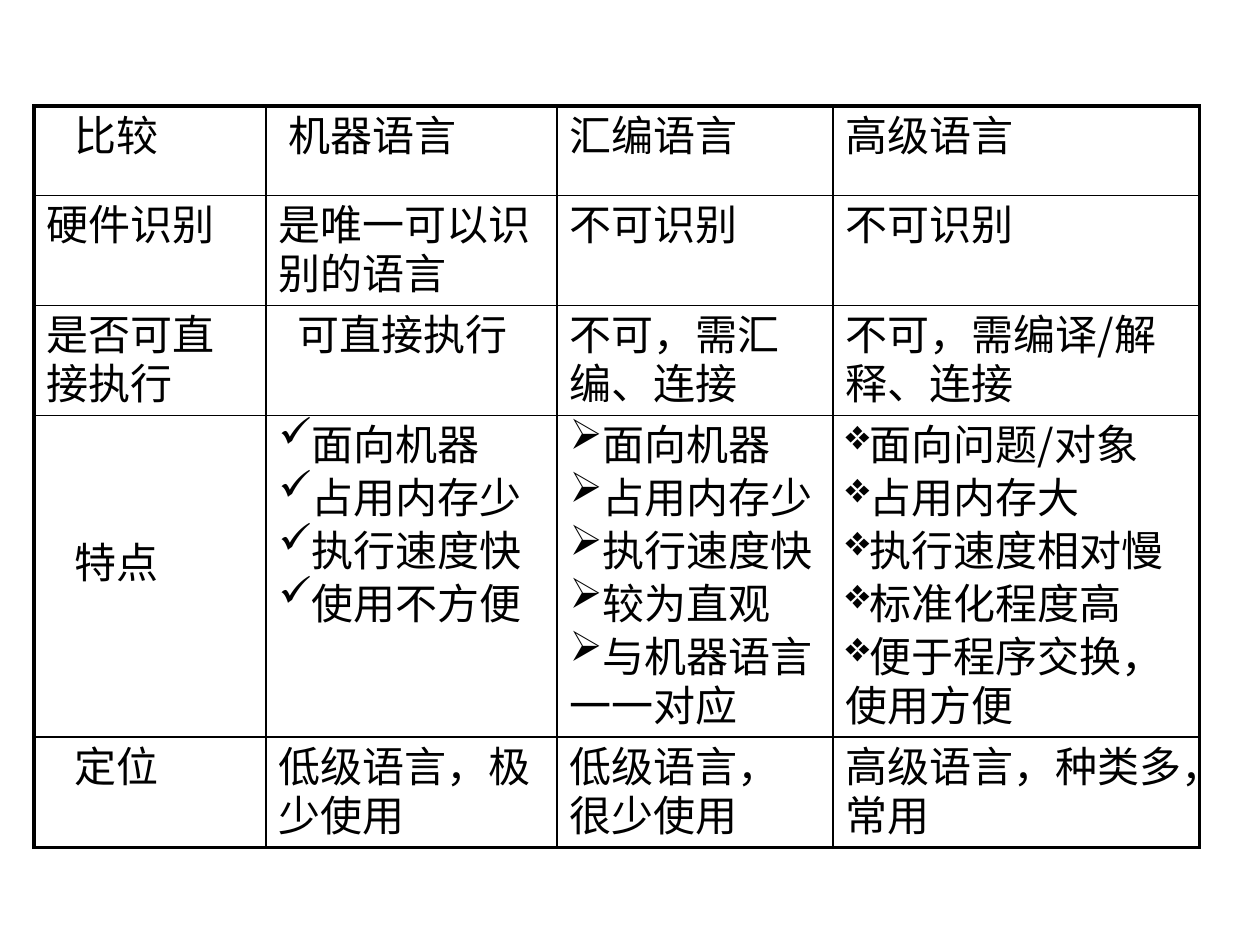
from dataclasses import dataclass

from lxml.etree import SubElement
from pptx import Presentation
from pptx.dml.color import RGBColor
from pptx.oxml.ns import qn
from pptx.util import Pt

BLACK = RGBColor(0x00, 0x00, 0x00)
WHITE = RGBColor(0xFF, 0xFF, 0xFF)
FONT = "Noto Sans CJK SC"
TEXT_FORMAT = {"size": Pt(24), "name": FONT, "bold": False}
PARAGRAPH_FORMAT = {"line_spacing": 0.8}
TABLE_FORMAT = {"first_row": False, "horz_banding": False}
OUTER, INNER = Pt(2.25), Pt(1)

COL_WIDTHS = (132.5, 166.3, 157.7, 209.5)
ROW_HEIGHTS = (51.1, 58.3, 58.3, 172.1, 58.3)


@dataclass(frozen=True)
class Entry:
    lines: tuple[str, ...]
    indent: float = 0
    bullet: str = ""
    top: float = 3.6


def text(line: str, indent: float = 0, top: float = 3.6) -> Entry:
    return Entry((line,), indent, top=top)


def bullets(mark: str, *lines: str) -> Entry:
    return Entry(lines, bullet=mark)


ROWS = (
    (text("比较", 16), text("机器语言", 5.4), text("汇编语言"), text("高级语言")),
    (text("硬件识别"), text("是唯一可以识别的语言"),
     text("不可识别"), text("不可识别")),
    (text("是否可直接执行"), text("可直接执行", 10.8),
     text("不可，需汇编、连接"), text("不可，需编译/解释、连接")),
    (text("特点", 16, top=71),
     bullets("✓", "面向机器", "占用内存少", "执行速度快", "使用不方便"),
     bullets("➢", "面向机器", "占用内存少", "执行速度快", "较为直观",
             "与机器语言一一对应"),
     bullets("❖", "面向问题/对象", "占用内存大", "执行速度相对慢",
             "标准化程度高", "便于程序交换，使用方便")),
    (text("定位", 16), text("低级语言，极少使用"),
     text("低级语言，很少使用"), text("高级语言，种类多，常用")),
)


def set_format(target, values: dict) -> None:
    for name, value in values.items():
        setattr(target, name, value)


def add_border(cell, side: str, width: int, index: int) -> None:
    ln = cell._tc.get_or_add_tcPr().makeelement(qn(f"a:ln{side}"), {"w": str(width)})
    fill = SubElement(ln, qn("a:solidFill"))
    SubElement(fill, qn("a:srgbClr"), val=str(BLACK))
    cell._tc.get_or_add_tcPr().insert(index, ln)


def add_borders(cell, row: int, col: int) -> None:
    """Draw a heavy line on the table's outside edges and a thin one elsewhere."""
    on_edge = {"L": col == 0, "R": col == len(COL_WIDTHS) - 1,
               "T": row == 0, "B": row == len(ROW_HEIGHTS) - 1}
    for i, (side, outside) in enumerate(on_edge.items()):
        add_border(cell, side, OUTER if outside else INNER, i)


def write_entry(cell, entry: Entry) -> None:
    tf = cell.text_frame
    cell.margin_top = Pt(entry.top)
    for i, line in enumerate(entry.lines):
        p = tf.add_paragraph() if i else tf.paragraphs[0]
        set_format(p, PARAGRAPH_FORMAT)
        p.space_before = Pt(2.4 if i else 0)
        pPr = p._p.get_or_add_pPr()
        pPr.set("marL", str(Pt(entry.indent)))
        pPr.set("indent", "0")
        if entry.bullet:
            SubElement(pPr, qn("a:buChar"), char=entry.bullet)
        r = p.add_run()
        r.text = line
        set_format(r.font, TEXT_FORMAT)
        r.font.color.rgb = BLACK
        SubElement(r._r.get_or_add_rPr(), qn("a:ea"), typeface=FONT)


def add_comparison_table(slide) -> None:
    table = slide.shapes.add_table(
        len(ROW_HEIGHTS), len(COL_WIDTHS), Pt(19.5), Pt(60.5),
        Pt(sum(COL_WIDTHS)), Pt(sum(ROW_HEIGHTS))).table
    set_format(table, TABLE_FORMAT)
    for column, width in zip(table.columns, COL_WIDTHS):
        column.width = Pt(width)
    for row, height in zip(table.rows, ROW_HEIGHTS):
        row.height = Pt(height)
    for i, entries in enumerate(ROWS):
        for j, entry in enumerate(entries):
            cell = table.cell(i, j)
            cell.fill.solid()
            cell.fill.fore_color.rgb = WHITE
            add_borders(cell, i, j)
            write_entry(cell, entry)


def main() -> None:
    prs = Presentation()
    prs.slide_width, prs.slide_height = Pt(720), Pt(540)
    slide = prs.slides.add_slide(prs.slide_layouts[6])
    add_comparison_table(slide)
    prs.save("out.pptx")


if __name__ == "__main__":
    main()
